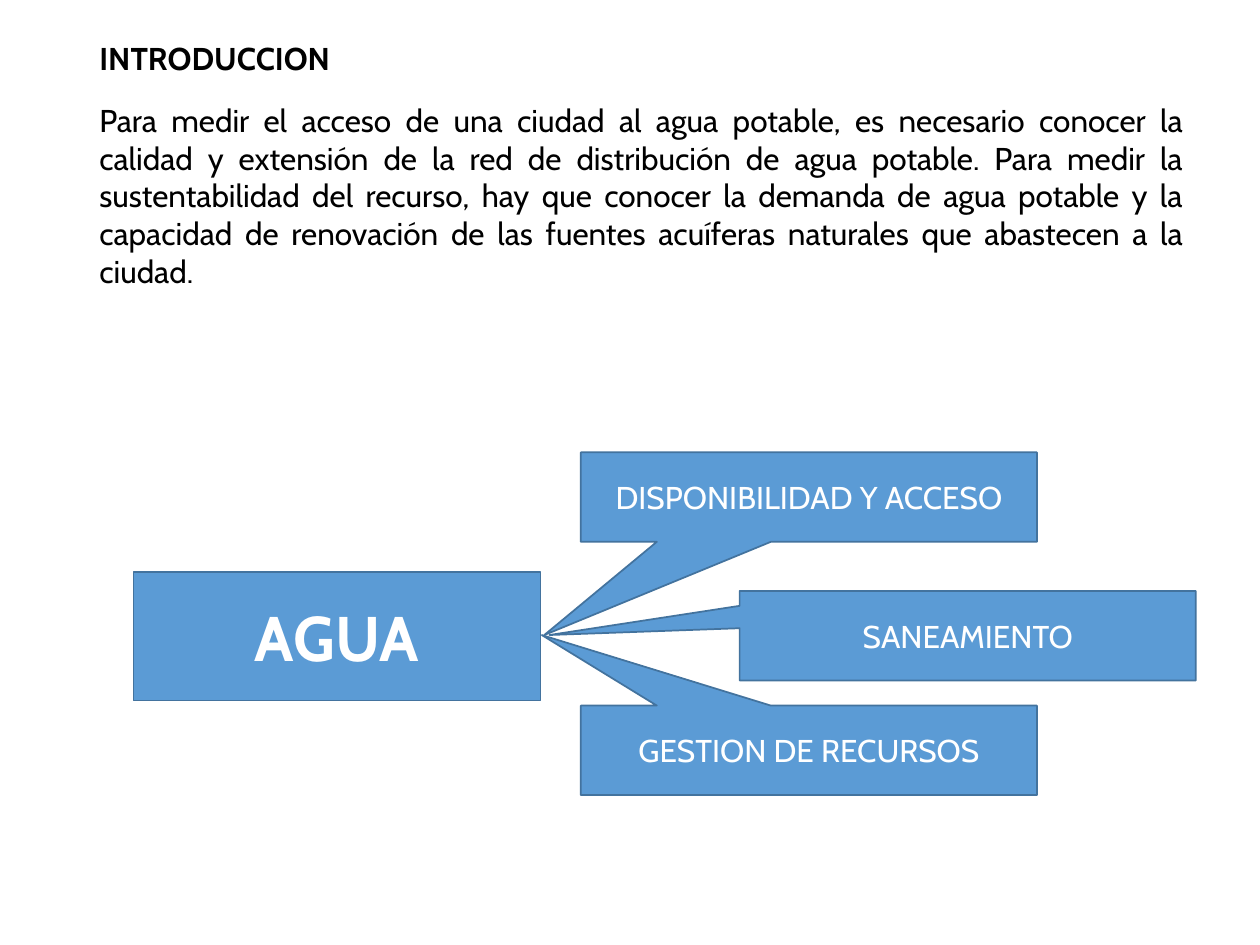
from pptx import Presentation
from pptx.dml.color import RGBColor
from pptx.enum.shapes import MSO_SHAPE
from pptx.enum.text import MSO_ANCHOR, MSO_AUTO_SIZE, PP_ALIGN
from pptx.util import Inches, Pt

RECTANGLE = MSO_SHAPE.RECTANGLE
CALLOUT = MSO_SHAPE.RECTANGULAR_CALLOUT
MIDDLE, TOP = MSO_ANCHOR.MIDDLE, MSO_ANCHOR.TOP
LEFT, CENTER, JUSTIFY = PP_ALIGN.LEFT, PP_ALIGN.CENTER, PP_ALIGN.JUSTIFY
GROW = MSO_AUTO_SIZE.SHAPE_TO_FIT_TEXT

FONT = "Cabin"
BLACK, WHITE, BLUE, DARK_BLUE = "000000", "FFFFFF", "5B9BD5", "43739E"
CALLOUT_WIDTH, CALLOUT_HEIGHT = 3.62, 0.71
TIP_Y = 5.04

INTRODUCTION = (
    "Para medir el acceso de una ciudad al agua potable, es necesario conocer "
    "la calidad y extensión de la red de distribución de agua potable. Para "
    "medir la sustentabilidad del recurso, hay que conocer la demanda de agua "
    "potable y la capacidad de renovación de las fuentes acuíferas naturales "
    "que abastecen a la ciudad."
)
TOPICS = [
    ("DISPONIBILIDAD Y ACCESO", 4.61, 3.59, 4.32),
    ("SANEAMIENTO", 5.87, 4.69, 4.36),
    ("GESTION DE RECURSOS", 4.61, 5.6, 4.3),
]


def rgb(color):
    """Turn a hex string into a colour."""
    return RGBColor.from_string(color)


def write(frame, text, size, color, align, anchor=MIDDLE, bold=False):
    """Fill a text frame with one formatted paragraph."""
    frame.text = text
    frame.word_wrap = True
    frame.vertical_anchor = anchor
    paragraph = frame.paragraphs[0]
    paragraph.alignment = align
    font = paragraph.runs[0].font
    font.name, font.size, font.bold = FONT, Pt(size), bold
    font.color.rgb = rgb(color)
    return paragraph


def add_text(slide, box, text, align, anchor, bold=False):
    """Add a plain text box and return its frame."""
    frame = slide.shapes.add_textbox(*map(Inches, box)).text_frame
    write(frame, text, 18, BLACK, align, anchor, bold)
    return frame


def add_box(slide, kind, box, text, size, bold=False):
    """Add a blue outlined shape with a centred white label."""
    shape = slide.shapes.add_shape(kind, *map(Inches, box))
    shape.shadow.inherit = False
    shape.fill.solid()
    shape.fill.fore_color.rgb = rgb(BLUE)
    shape.line.color.rgb = rgb(DARK_BLUE)
    shape.line.width = Pt(1)
    write(shape.text_frame, text, size, WHITE, CENTER, bold=bold)
    return shape


def add_topic(slide, text, left, top, tip_x):
    """Add a callout whose tip points at the main box."""
    box = (left, top, CALLOUT_WIDTH, CALLOUT_HEIGHT)
    callout = add_box(slide, CALLOUT, box, text, 18)
    callout.adjustments[0] = (tip_x - left) / CALLOUT_WIDTH - 0.5
    callout.adjustments[1] = (TIP_Y - top) / CALLOUT_HEIGHT - 0.5


def main():
    """Build the slide and save it."""
    deck = Presentation()
    deck.slide_width, deck.slide_height = Inches(10), Inches(7.5)
    slide = deck.slides.add_slide(deck.slide_layouts[6])

    heading = add_text(slide, (0.69, 0.21, 8.62, 0.54), "INTRODUCCION",
                       LEFT, MIDDLE, bold=True)
    heading.paragraphs[0].line_spacing = 0.9
    add_box(slide, RECTANGLE, (1.06, 4.54, 3.23, 1.02), "AGUA", 36, bold=True)
    for topic in TOPICS:
        add_topic(slide, *topic)
    body = add_text(slide, (0.69, 0.75, 8.8, 1.62), INTRODUCTION, JUSTIFY, TOP)
    body.auto_size = GROW

    deck.save("out.pptx")


if __name__ == "__main__":
    main()
